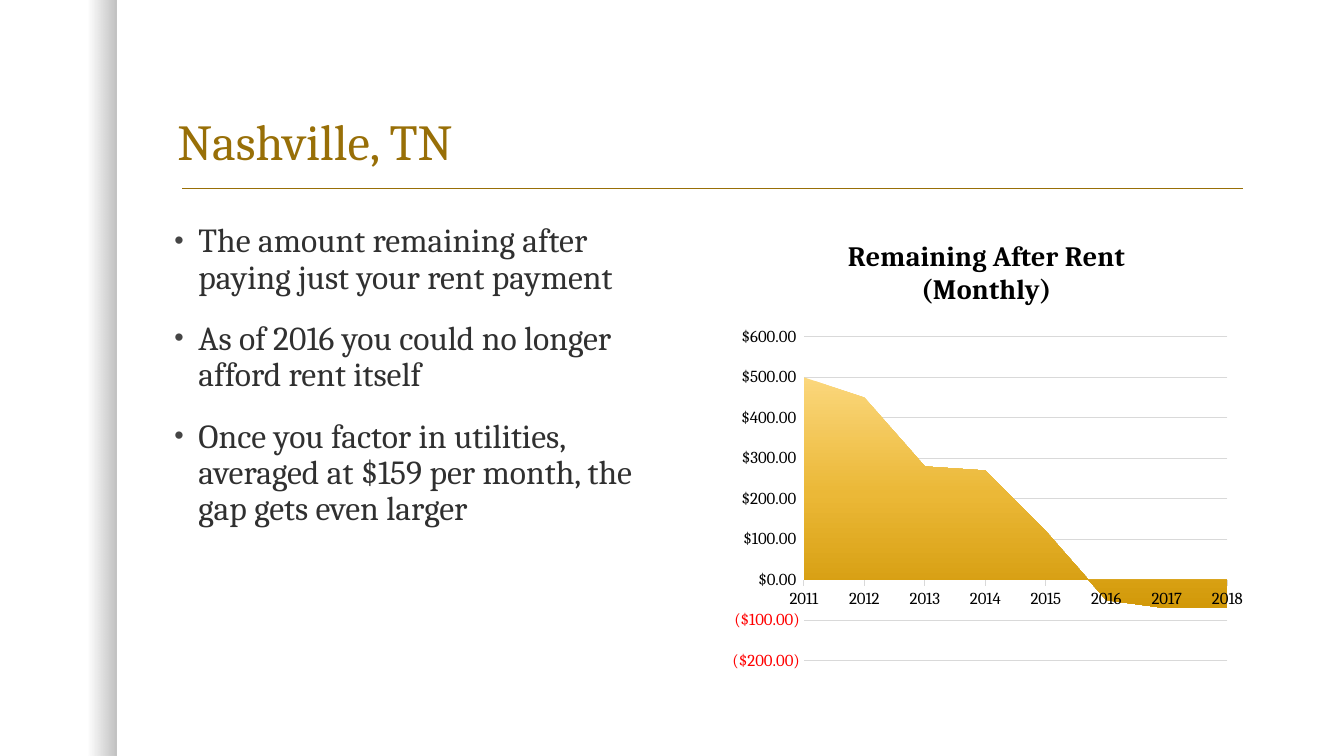
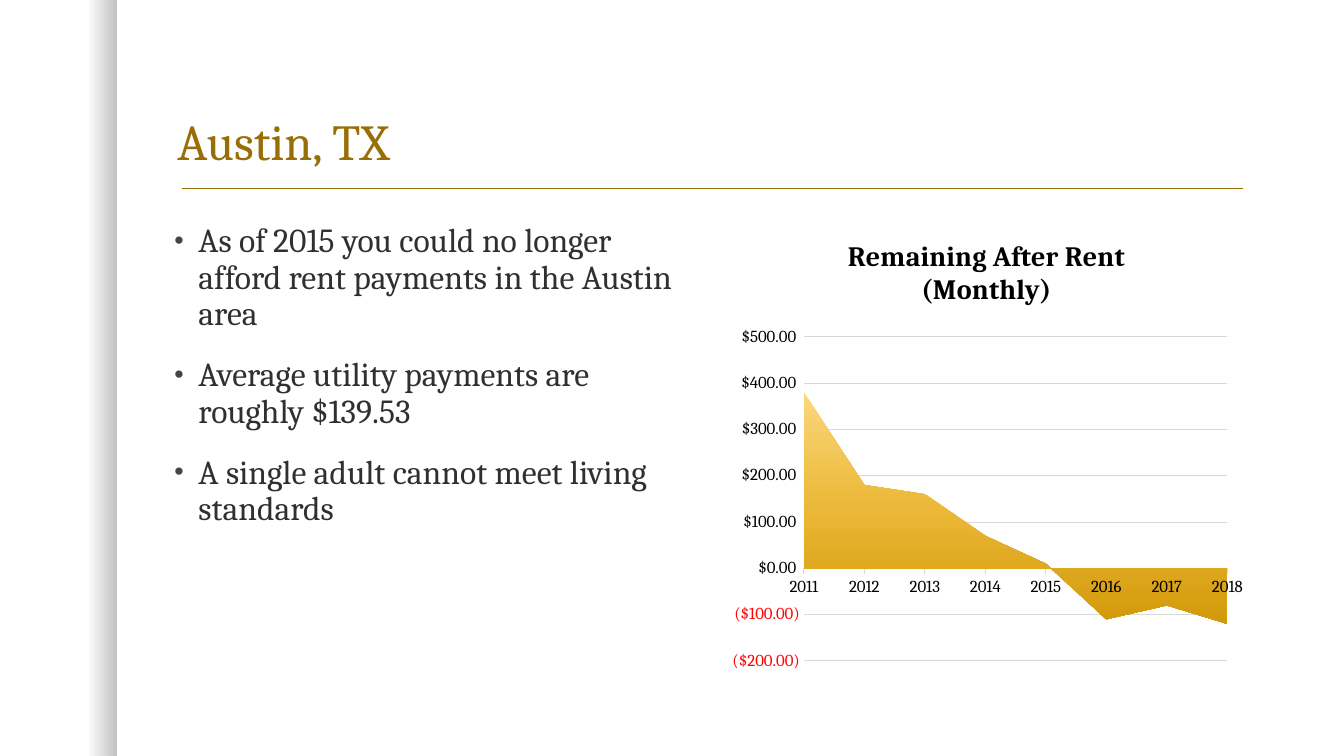
from dataclasses import dataclass

from lxml import etree
from pptx import Presentation as new_presentation
from pptx.chart.chart import Chart
from pptx.chart.data import CategoryChartData
from pptx.dml.color import RGBColor
from pptx.dml.fill import FillFormat
from pptx.enum.chart import XL_CHART_TYPE as ChartType, XL_TICK_MARK as TickMark
from pptx.enum.shapes import MSO_CONNECTOR as Connector, MSO_SHAPE as ShapeKind
from pptx.enum.text import MSO_ANCHOR as Anchor
from pptx.oxml import parse_xml
from pptx.oxml.ns import nsdecls, qn
from pptx.slide import Slide
from pptx.text.text import Font, TextFrame, _Paragraph as Paragraph
from pptx.util import Inches, Pt


@dataclass(frozen=True)
class Theme:
    font: str = "Cambria"
    background: str = "FFFFFF"
    accent: str = "986F07"
    body: str = "303030"
    bullet: str = "454545"
    chart_text: str = "000000"
    grid: str = "D9D9D9"
    title_size: float = 36
    body_size: float = 24
    chart_title_size: float = 20
    axis_size: float = 12
    chart_size: float = 10
    rule_width: float = 1
    grid_width: float = 0.75


@dataclass(frozen=True)
class Box:
    left: float
    top: float
    width: float
    height: float

    def lengths(self) -> tuple[Inches, Inches, Inches, Inches]:
        return Inches(self.left), Inches(self.top), Inches(self.width), Inches(self.height)


@dataclass(frozen=True)
class GradientStop:
    position: int
    color: str
    opacity: int = 100


@dataclass(frozen=True)
class City:
    name: str
    points: tuple[str, ...]
    remaining: tuple[int, ...]
    axis_maximum: int


THEME = Theme()
SLIDE_WIDTH, SLIDE_HEIGHT = 13.33, 7.5
SIDE_BAND = Box(0, 0, 1.16, SLIDE_HEIGHT)
TITLE = Box(1.66, 0.42, 10.75, 1.33)
BODY = Box(1.63, 2.17, 5.25, 4.58)
CHART = Box(7.16, 2.17, 5.25, 4.58)
PLOT_SHARE = Box(0.155, 0.256, 0.8, 0.702)
RULE_LEFT, RULE_RIGHT, RULE_TOP = 1.81, 12.33, 1.87
BULLET_INDENT = 0.24
LINE_SPACING = 0.9
YEARS = [str(year) for year in range(2011, 2019)]
AXIS_MINIMUM, AXIS_STEP = -200, 100
MONEY_FORMAT = r'"$"#,##0.00_);[Red]\("$"#,##0.00\)'
BAND_STOPS = (GradientStop(75, "000000", 0), GradientStop(100, "000000", 25))
AREA_STOPS = (
    GradientStop(0, "FBD77C"),
    GradientStop(50, "EBB837"),
    GradientStop(100, "D29909"),
)

CITIES = (
    City(
        "Nashville, TN",
        (
            "The amount remaining after paying just your rent payment",
            "As of 2016 you could no longer afford rent itself",
            "Once you factor in utilities, averaged at $159 per month, the gap gets even larger",
        ),
        (500, 450, 280, 270, 120, -50, -70, -70),
        600,
    ),
    City(
        "Austin, TX",
        (
            "As of 2015 you could no longer afford rent payments in the Austin area",
            "Average utility payments are roughly $139.53",
            "A single adult cannot meet living standards",
        ),
        (380, 180, 160, 70, 10, -110, -80, -120),
        500,
    ),
)


def style_font(font: Font, size: float, color: str, bold: bool = False) -> None:
    font.name = THEME.font
    font.size = Pt(size)
    font.bold = bold
    font.color.rgb = RGBColor.from_string(color)


def add_run(paragraph: Paragraph, text: str, size: float, color: str, bold: bool = False) -> None:
    run = paragraph.add_run()
    run.text = text
    style_font(run.font, size, color, bold)


def apply_gradient(
    fill: FillFormat, owner: etree._Element, stops: tuple[GradientStop, ...], angle: float
) -> None:
    fill.gradient()
    fill.gradient_angle = angle
    stop_list = owner.find(f".//{qn('a:gsLst')}")
    for old_stop in list(stop_list):
        stop_list.remove(old_stop)
    for stop in stops:
        stop_list.append(parse_xml(
            f'<a:gs {nsdecls("a")} pos="{stop.position * 1000}"><a:srgbClr val="{stop.color}">'
            f'<a:alpha val="{stop.opacity * 1000}"/></a:srgbClr></a:gs>'
        ))


def add_text_frame(slide: Slide, box: Box, anchor: Anchor) -> TextFrame:
    text_frame = slide.shapes.add_textbox(*box.lengths()).text_frame
    text_frame.word_wrap = True
    text_frame.vertical_anchor = anchor
    return text_frame


def add_frame(slide: Slide) -> None:
    background = slide.background.fill
    background.solid()
    background.fore_color.rgb = RGBColor.from_string(THEME.background)

    band = slide.shapes.add_shape(ShapeKind.RECTANGLE, *SIDE_BAND.lengths())
    band.shadow.inherit = False
    band.line.fill.background()
    apply_gradient(band.fill, band._element, BAND_STOPS, 0)

    rule = slide.shapes.add_connector(
        Connector.STRAIGHT,
        Inches(RULE_LEFT), Inches(RULE_TOP), Inches(RULE_RIGHT), Inches(RULE_TOP),
    )
    rule.line.color.rgb = RGBColor.from_string(THEME.accent)
    rule.line.width = Pt(THEME.rule_width)
    etree.SubElement(rule._element.spPr, qn("a:effectLst"))


def add_title(slide: Slide, text: str) -> None:
    paragraph = add_text_frame(slide, TITLE, Anchor.BOTTOM).paragraphs[0]
    paragraph.line_spacing = LINE_SPACING
    add_run(paragraph, text, THEME.title_size, THEME.accent)


def add_bullet(paragraph: Paragraph) -> None:
    properties = paragraph._p.get_or_add_pPr()
    indent = Inches(BULLET_INDENT)
    properties.set("marL", str(indent))
    properties.set("indent", str(-indent))
    for markup in (
        f'<a:buClr {nsdecls("a")}><a:srgbClr val="{THEME.bullet}"/></a:buClr>',
        f'<a:buSzPct {nsdecls("a")} val="80000"/>',
        f'<a:buFont {nsdecls("a")} typeface="Arial"/>',
        f'<a:buChar {nsdecls("a")} char="•"/>',
    ):
        properties.append(parse_xml(markup))


def add_points(slide: Slide, points: tuple[str, ...]) -> None:
    text_frame = add_text_frame(slide, BODY, Anchor.TOP)
    for index, point in enumerate(points):
        paragraph = text_frame.add_paragraph() if index else text_frame.paragraphs[0]
        paragraph.line_spacing = LINE_SPACING
        paragraph.space_before = Pt(18)
        add_bullet(paragraph)
        add_run(paragraph, point, THEME.body_size, THEME.body)


def place_plot(chart: Chart) -> None:
    plot_area = chart._chartSpace.find(f".//{qn('c:plotArea')}")
    for old_layout in plot_area.findall(qn("c:layout")):
        plot_area.remove(old_layout)
    plot_area.insert(0, parse_xml(
        f'<c:layout {nsdecls("c")}><c:manualLayout><c:layoutTarget val="inner"/>'
        '<c:xMode val="edge"/><c:yMode val="edge"/>'
        f'<c:x val="{PLOT_SHARE.left}"/><c:y val="{PLOT_SHARE.top}"/>'
        f'<c:w val="{PLOT_SHARE.width}"/><c:h val="{PLOT_SHARE.height}"/>'
        '</c:manualLayout></c:layout>'
    ))
    for crossing in plot_area.iter(qn("c:crossBetween")):
        crossing.set("val", "midCat")


def style_axes(chart: Chart, maximum: int) -> None:
    grid_color = RGBColor.from_string(THEME.grid)
    category_axis, value_axis = chart.category_axis, chart.value_axis
    for axis, tick in ((category_axis, TickMark.OUTSIDE), (value_axis, TickMark.NONE)):
        axis.major_tick_mark = tick
        axis.minor_tick_mark = TickMark.NONE
        style_font(axis.tick_labels.font, THEME.axis_size, THEME.chart_text)

    category_axis.has_major_gridlines = False
    value_axis.has_major_gridlines = True
    for line in (category_axis.format.line, value_axis.major_gridlines.format.line):
        line.color.rgb = grid_color
        line.width = Pt(THEME.grid_width)

    value_axis.format.line.fill.background()
    value_axis.minimum_scale = AXIS_MINIMUM
    value_axis.maximum_scale = maximum
    value_axis.major_unit = AXIS_STEP
    value_axis.tick_labels.number_format = MONEY_FORMAT
    value_axis.tick_labels.number_format_is_linked = False


def add_rent_chart(slide: Slide, city: City) -> None:
    chart_data = CategoryChartData()
    chart_data.categories = YEARS
    chart_data.add_series("Series 1", city.remaining)
    chart = slide.shapes.add_chart(
        ChartType.AREA_STACKED, *CHART.lengths(), chart_data
    ).chart
    style_font(chart.font, THEME.chart_size, THEME.body)
    chart.has_legend = False
    chart.has_title = True
    add_run(
        chart.chart_title.text_frame.paragraphs[0],
        "Remaining After Rent (Monthly)",
        THEME.chart_title_size, THEME.chart_text, bold=True,
    )
    plot = chart.plots[0]
    plot.vary_by_categories = False
    series = plot.series[0]
    apply_gradient(series.format.fill, series._element, AREA_STOPS, 270)
    series.format.line.fill.background()
    style_axes(chart, city.axis_maximum)
    place_plot(chart)


def main() -> None:
    presentation = new_presentation()
    presentation.slide_width = Inches(SLIDE_WIDTH)
    presentation.slide_height = Inches(SLIDE_HEIGHT)
    blank_layout = presentation.slide_layouts[6]
    for city in CITIES:
        slide = presentation.slides.add_slide(blank_layout)
        add_frame(slide)
        add_title(slide, city.name)
        add_points(slide, city.points)
        add_rent_chart(slide, city)
    presentation.save("out.pptx")


if __name__ == "__main__":
    main()
